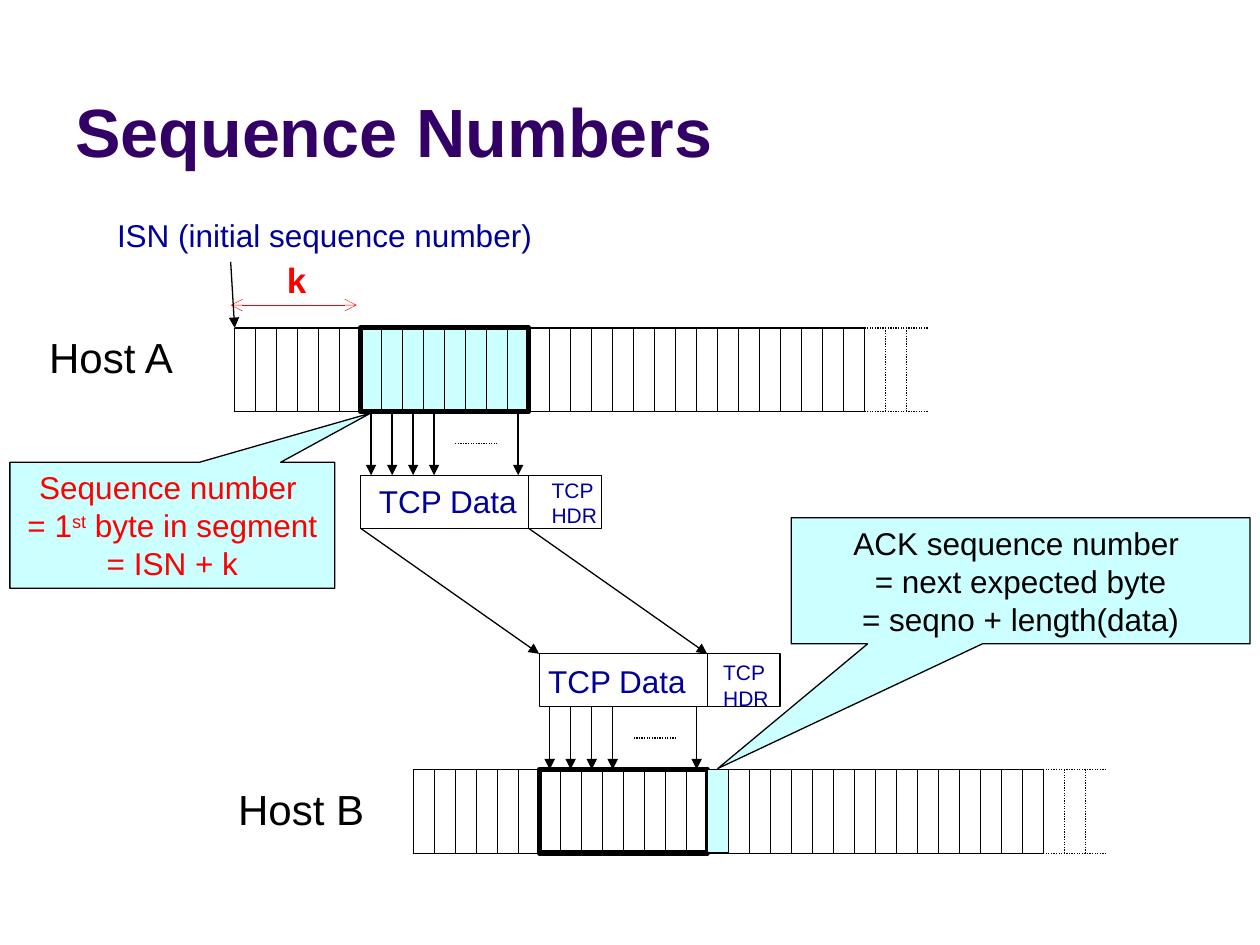
from pptx import Presentation
from pptx.dml.color import RGBColor
from pptx.enum import dml, shapes, text
from pptx.oxml.ns import qn
from pptx.util import Cm, Pt
from lxml import etree

BLACK = RGBColor(0x00, 0x00, 0x00)
WHITE = RGBColor(0xFF, 0xFF, 0xFF)
RED = RGBColor(0xFF, 0x00, 0x00)
NAVY = RGBColor(0x00, 0x00, 0x99)
PURPLE = RGBColor(0x33, 0x00, 0x66)
CYAN = RGBColor(0xCC, 0xFF, 0xFF)

# All lengths are in centimetres.
BYTE = 12.7 / 30
SOLID_BYTES, DOTTED_BYTES = 30, 3
SEG_START, SEG_BYTES = 6, 8
STREAM_H, PACKET_H, HEADER_W = 1.69, 1.07, 1.47
SEG_W = SEG_BYTES * BYTE
ARROW_BYTES = [0, 1, 2, 3, 7]

STREAM_A = (4.73, 6.61)
STREAM_B = (8.33, 15.51)
PACKET_A_Y, PACKET_B_Y = 9.58, 13.18

# left, top, width, height, lines, size, colour
LABELS = [
    (4.55, 15.67, 3.07, 1.27, ["Host B"], 24, BLACK),
    (0.74, 6.55, 3.05, 1.27, ["Host A"], 24, BLACK),
    (2.11, 4.24, 8.97, 1.02, ["ISN (initial sequence number)"], 18, NAVY),
    (7.39, 9.60, 3.33, 1.02, ["TCP Data"], 18, NAVY),
    (10.80, 13.23, 3.33, 1.02, ["TCP Data"], 18, NAVY),
    (10.87, 9.50, 1.45, 1.27, ["TCP", "HDR"], 12, NAVY),
    (14.33, 13.18, 1.45, 1.27, ["TCP", "HDR"], 12, NAVY),
]

# Each line is a list of (text, superscript) runs.
SEQ_TEXT = [[("Sequence number ", False)],
            [("= 1", False), ("st", True), (" byte in segment", False)],
            [("= ISN + k", False)]]
ACK_TEXT = [[("ACK sequence number ", False)],
            [("= next expected byte", False)],
            [("= seqno + length(data)", False)]]

prs = Presentation()
prs.slide_width, prs.slide_height = Cm(25.4), Cm(19.05)
s = prs.slides.add_slide(prs.slide_layouts[6])


def line(x1, y1, x2, y2, color=BLACK, width=0.75, dotted=False, head=None, tail=None):
    c = s.shapes.add_connector(shapes.MSO_CONNECTOR.STRAIGHT,
                               Cm(x1), Cm(y1), Cm(x2), Cm(y2))
    c.line.color.rgb = color
    c.line.width = Pt(width)
    if dotted:
        c.line.dash_style = dml.MSO_LINE.ROUND_DOT
    ln = c.line._get_or_add_ln()
    for tag, kind in (("a:headEnd", head), ("a:tailEnd", tail)):
        if kind:
            etree.SubElement(ln, qn(tag)).set("type", kind)
    etree.SubElement(c._element.spPr, qn("a:effectLst"))


def box(x, y, w, h, fill=None, width=0.75, kind=shapes.MSO_SHAPE.RECTANGLE):
    sp = s.shapes.add_shape(kind, Cm(x), Cm(y), Cm(w), Cm(h))
    sp.shadow.inherit = False
    if fill is None:
        sp.fill.background()
    else:
        sp.fill.solid()
        sp.fill.fore_color.rgb = fill
    sp.line.color.rgb = BLACK
    sp.line.width = Pt(width)
    return sp


def set_font(font, size, color, name="Arial", bold=False):
    font.name, font.size, font.bold = name, Pt(size), bold
    font.color.rgb = color


def label(x, y, w, h, lines, size, color, name="Arial", bold=False, align=None):
    tb = s.shapes.add_textbox(Cm(x), Cm(y), Cm(w), Cm(h))
    tf = tb.text_frame
    tf.word_wrap = False
    tf.auto_size = text.MSO_AUTO_SIZE.SHAPE_TO_FIT_TEXT
    tf.text = "\n".join(lines)
    for p in tf.paragraphs:
        p.alignment = align
        set_font(p.font, size, color, name, bold)
    return tf


def callout(x, y, w, h, adjustments, lines, color):
    sp = box(x, y, w, h, CYAN, kind=shapes.MSO_SHAPE.RECTANGULAR_CALLOUT)
    for i, value in enumerate(adjustments):
        sp.adjustments[i] = value
    tf = sp.text_frame
    tf.word_wrap = True
    tf.vertical_anchor = text.MSO_ANCHOR.TOP
    for i, runs in enumerate(lines):
        p = tf.add_paragraph() if i else tf.paragraphs[0]
        p.alignment = text.PP_ALIGN.CENTER
        set_font(p.font, 18, color)
        for content, raised in runs:
            r = p.add_run()
            r.text = content
            if raised:
                r.font._element.set("baseline", "30000")


def stream(x, y):
    """Draw a byte stream that fades out into dotted cells."""
    end = x + SOLID_BYTES * BYTE
    for edge in (y, y + STREAM_H):
        line(x, edge, end, edge)
        line(end + DOTTED_BYTES * BYTE, edge, end, edge, dotted=True)
    for i in range(SOLID_BYTES + DOTTED_BYTES):
        tick = x + i * BYTE
        line(tick, y, tick, y + STREAM_H, dotted=i > SOLID_BYTES)


def byte_arrows(x, top, bottom):
    """Draw arrows through the middle of the segment's bytes, dots for the rest."""
    for i in ARROW_BYTES:
        mid = x + (i + 0.5) * BYTE
        line(mid, top, mid, bottom, tail="triangle")
    middle = (top + bottom) / 2
    line(x + 4.5 * BYTE, middle, x + 6.5 * BYTE, middle, dotted=True)


seg_a, seg_b = (x + SEG_START * BYTE for x, _ in (STREAM_A, STREAM_B))
top_a, top_b = STREAM_A[1], STREAM_B[1]

box(seg_a, top_a, SEG_W, STREAM_H, CYAN, 3)
title = label(1.27, 0.33, 22.86, 3.25, ["Sequence Numbers"], 39, PURPLE, bold=True)
title.auto_size = text.MSO_AUTO_SIZE.NONE
title.word_wrap = True
title.vertical_anchor = text.MSO_ANCHOR.BOTTOM
stream(*STREAM_A)
stream(*STREAM_B)

for seg, y in ((seg_a, PACKET_A_Y), (seg_b, PACKET_B_Y)):
    box(seg, y, SEG_W, PACKET_H, WHITE)
    box(seg + SEG_W, y, HEADER_W, PACKET_H, WHITE)
for dx in (0, SEG_W):
    line(seg_a + dx, PACKET_A_Y + PACKET_H, seg_b + dx, PACKET_B_Y, tail="triangle")
byte_arrows(seg_a, top_a + STREAM_H, PACKET_A_Y)
byte_arrows(seg_b, PACKET_B_Y + PACKET_H, top_b)

box(seg_b, top_b, SEG_W, STREAM_H, width=3)
callout(15.95, 10.44, 9.25, 2.54, (-0.66, 1.49), ACK_TEXT, BLACK)
box(seg_b + SEG_W, top_b, BYTE, STREAM_H, CYAN)
callout(0.2, 9.32, 6.55, 2.54, (0.61, -0.89), SEQ_TEXT, RED)

for item in LABELS:
    label(*item)
line(4.65, 6.15, 7.19, 6.15, RED, 0.25, head="arrow", tail="arrow")
line(4.65, 5.28, *STREAM_A, tail="triangle")
label(5.51, 5.08, 0.94, 1.12, ["k"], 20, RED, "Courier New", True, text.PP_ALIGN.RIGHT)

prs.save("out.pptx")
